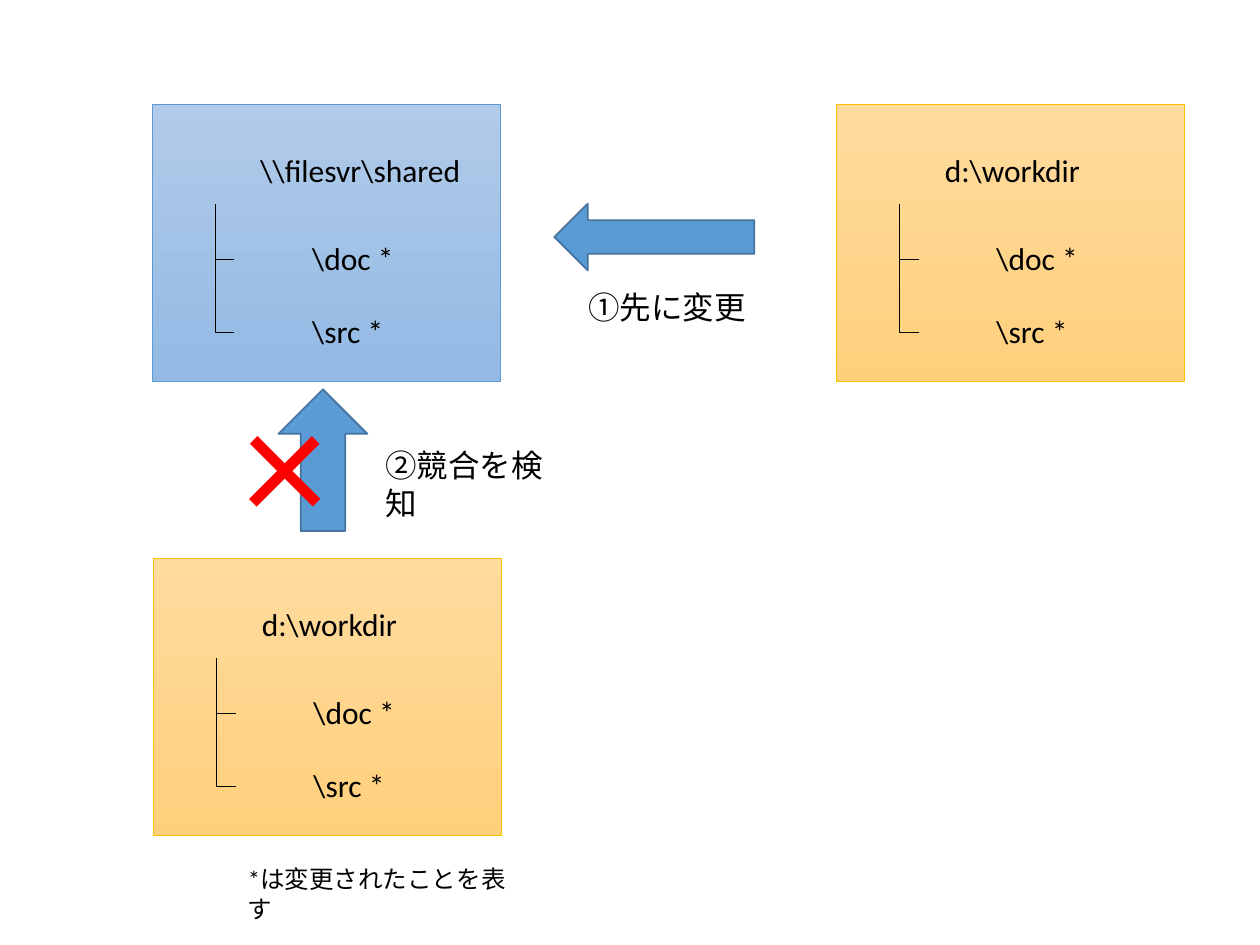
from lxml import etree
from pptx import Presentation
from pptx.dml.color import RGBColor
from pptx.enum import shapes, text
from pptx.oxml.ns import qn
from pptx.util import Pt

BLACK = RGBColor(0x00, 0x00, 0x00)
RED = RGBColor(0xFF, 0x00, 0x00)
BLUE = RGBColor(0x5B, 0x9B, 0xD5)
DARK_BLUE = RGBColor(0x43, 0x73, 0x9E)
GOLD = RGBColor(0xFF, 0xC0, 0x00)
BLUE_FADE = RGBColor(0xB1, 0xCB, 0xE9), RGBColor(0x93, 0xB9, 0xE4)
GOLD_FADE = RGBColor(0xFF, 0xDB, 0x9E), RGBColor(0xFF, 0xD0, 0x7C)

deck = Presentation()
deck.slide_width, deck.slide_height = Pt(720), Pt(540)
page = deck.slides.add_slide(deck.slide_layouts[6])


def add_label(words, left, top, width, height=29, size=18, color=BLACK, wrap=False):
    box = page.shapes.add_textbox(Pt(left), Pt(top), Pt(width), Pt(height))
    frame = box.text_frame
    frame.word_wrap = wrap
    frame.auto_size = text.MSO_AUTO_SIZE.SHAPE_TO_FIT_TEXT
    para = frame.paragraphs[0]
    para.text = words
    para.font.name = "Calibri"
    para.font.size = Pt(size)
    para.font.color.rgb = color


def add_branch(left, top, drop, reach=10.8):
    x = left + (reach - drop) / 2
    y = top + (drop - reach) / 2
    branch = page.shapes.add_connector(
        shapes.MSO_CONNECTOR.ELBOW, Pt(x), Pt(y), Pt(x + drop), Pt(y + reach))
    branch.line.color.rgb = BLACK
    branch.line.width = Pt(0.5)
    properties = branch._element.spPr
    properties.find(qn("a:prstGeom")).set("prst", "bentConnector2")
    transform = properties.find(qn("a:xfrm"))
    transform.set("rot", "16200000")
    transform.set("flipH", "1")
    etree.SubElement(properties, qn("a:effectLst"))


folders = [
    ("\\\\filesvr\\shared", 136.8, 87.1, 59.8, BLUE_FADE, BLUE),
    ("d:\\workdir", 95, 87.8, 319, GOLD_FADE, GOLD),
    ("d:\\workdir", 95, 478.1, 59.8, GOLD_FADE, GOLD),
]
for name, name_width, left, top, fade, edge in folders:
    folder = page.shapes.add_shape(
        shapes.MSO_SHAPE.RECTANGLE, Pt(left), Pt(top), Pt(198.7), Pt(158.4))
    folder.shadow.inherit = False
    folder.fill.gradient()
    folder.fill.gradient_angle = 270
    for stop, color in zip(folder.fill.gradient_stops, fade):
        stop.color.rgb = color
    folder.line.color.rgb = edge
    folder.line.width = Pt(0.5)
    add_label(name, left + 54.7, top + 23, name_width)
    add_label("\\doc *", left + 84.2, top + 73.4, 64)
    add_label("\\src *", left + 84.2, top + 115.2, 57.6)
    add_branch(left + 36, top + 56.9, 31.7)
    add_branch(left + 36, top + 61.2, 69.1)

arrows = [
    (shapes.MSO_SHAPE.UP_ARROW, 159.1, 222.5, 50.9, 80.9),
    (shapes.MSO_SHAPE.LEFT_ARROW, 316.8, 116.4, 114.3, 38.2),
]
for kind, left, top, width, height in arrows:
    arrow = page.shapes.add_shape(kind, Pt(left), Pt(top), Pt(width), Pt(height))
    arrow.shadow.inherit = False
    arrow.fill.solid()
    arrow.fill.fore_color.rgb = BLUE
    arrow.line.color.rgb = DARK_BLUE
    arrow.line.width = Pt(1)

add_label("①先に変更", 329, 161.3, 104.4)
add_label("②競合を検知", 213.1, 251.3, 121, wrap=True)
add_label("*は変更されたことを表す", 134.6, 490.3, 162.7, 24.5, size=14, wrap=True)
add_label("×", 131.8, 200.2, 111.6, 123.8, size=96, color=RED)

deck.save("out.pptx")
